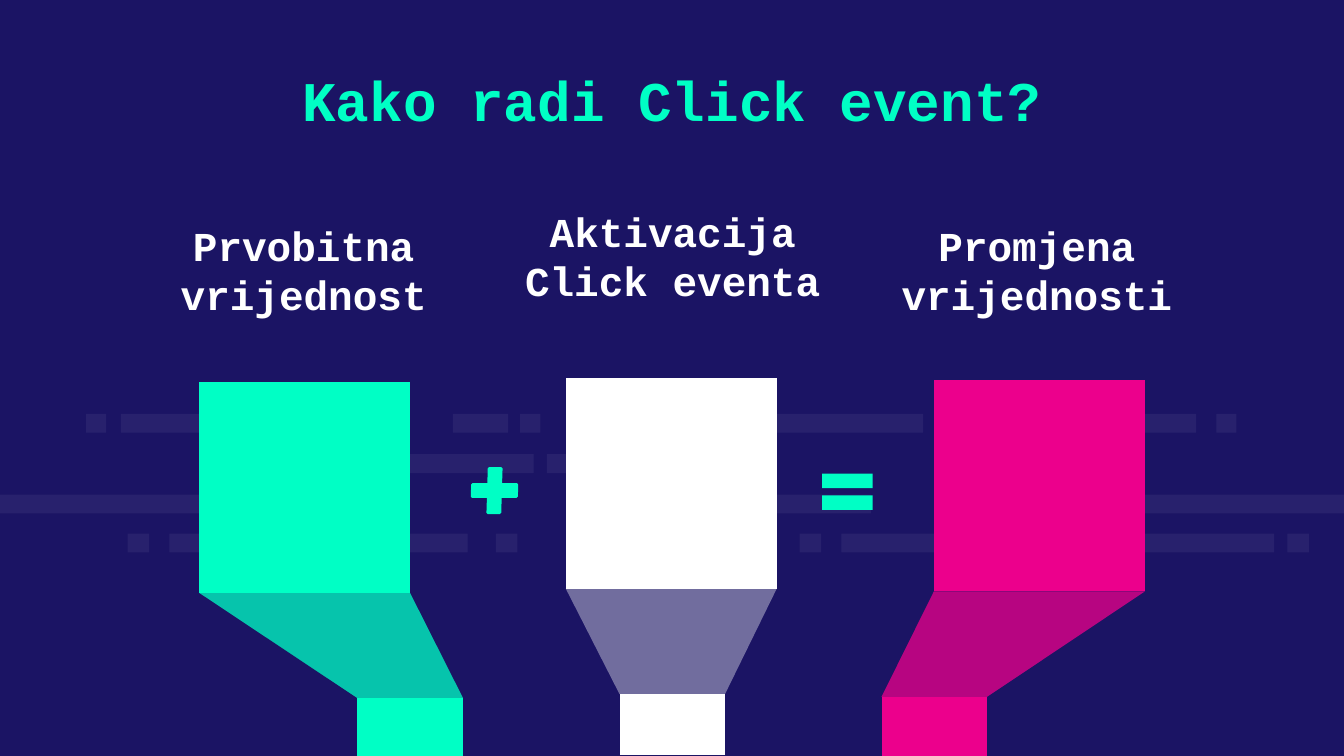
from dataclasses import dataclass

from lxml.etree import SubElement
from pptx import Presentation
from pptx.dml.color import RGBColor
from pptx.enum.shapes import MSO_SHAPE as Preset
from pptx.enum.text import MSO_ANCHOR as Anchor, MSO_AUTO_SIZE as AutoSize, PP_ALIGN as Align
from pptx.oxml.ns import qn
from pptx.util import Inches, Pt

Point = tuple[float, float]


@dataclass(frozen=True)
class Theme:
    navy: str = "1B1464"
    mint: str = "00FFC5"
    white: str = "FFFFFF"
    pink: str = "EC008C"
    font: str = "Courier New"
    title_size: int = 30
    label_size: int = 22


@dataclass(frozen=True)
class Label:
    text: str
    left: float
    top: float
    width: float


@dataclass(frozen=True)
class Funnel:
    left: float
    top: float
    stem_left: float
    color: str
    slope_layers: tuple[tuple[str, int], ...]


THEME = Theme()
SLIDE_WIDTH = 10
SLIDE_HEIGHT = SLIDE_WIDTH * 9 / 16
BAR_HEIGHT = 0.14
BOX_SIZE = 1.57
STEM_WIDTH = SLOPE_HEIGHT = BOX_SIZE / 2
STEM_HEIGHT = 0.45

# Row top -> (left, width) of each faint bar
BAR_ROWS = {
    3.08: [(0.64, 0.15), (0.9, 1.46), (3.37, 0.41), (3.87, 0.15),
           (5.61, 1.26), (7.64, 1.26), (9.05, 0.15)],
    3.38: [(2.99, 0.98), (4.07, 0.4)],
    3.68: [(0, 1.48), (5, 1.48), (8.52, 1.48)],
    3.97: [(0.95, 0.16), (1.26, 2.22), (3.69, 0.16), (5.95, 0.16),
           (6.26, 3.22), (9.58, 0.16)],
}
LABELS = [
    Label("Prvobitna vrijednost", 1.13, 1.9, 2.26),
    Label("Aktivacija Click eventa", 3.73, 1.8, 2.55),
    Label("Promjena vrijednosti", 6.56, 1.9, 2.31),
]
SHADE = (THEME.navy, 25)
FUNNELS = [
    Funnel(4.21, 2.81, 4.61, THEME.white, ((THEME.white, 38),)),
    Funnel(1.48, 2.84, 2.66, THEME.mint, ((THEME.mint, 100), SHADE)),
    Funnel(6.95, 2.83, 6.56, THEME.pink, ((THEME.pink, 100), SHADE)),
]


def paint(shape, color: str, opacity: int = 100) -> None:
    shape.shadow.inherit = False
    shape.line.fill.background()
    shape.fill.solid()
    shape.fill.fore_color.rgb = RGBColor.from_string(color)
    if opacity < 100:
        color_element = shape.element.spPr.find(qn("a:solidFill"))[0]
        SubElement(color_element, qn("a:alpha"), val=str(opacity * 1000))


def add_polygon(slide, points: list[Point], color: str, opacity: int = 100) -> None:
    corners = [(Inches(x), Inches(y)) for x, y in points]
    builder = slide.shapes.build_freeform(*corners[0])
    builder.add_line_segments(corners[1:], close=True)
    paint(builder.convert_to_shape(), color, opacity)


def add_rectangle(slide, left: float, top: float, width: float, height: float,
                  color: str, opacity: int = 100) -> None:
    right, bottom = left + width, top + height
    add_polygon(slide, [(left, top), (right, top), (right, bottom), (left, bottom)],
                color, opacity)


def add_funnel(slide, funnel: Funnel) -> None:
    slope_top = funnel.top + BOX_SIZE
    stem_top = slope_top + SLOPE_HEIGHT
    slope = [(funnel.stem_left, stem_top), (funnel.left, slope_top),
             (funnel.left + BOX_SIZE, slope_top), (funnel.stem_left + STEM_WIDTH, stem_top)]
    for color, opacity in funnel.slope_layers:
        add_polygon(slide, slope, color, opacity)
    add_rectangle(slide, funnel.stem_left, stem_top, STEM_WIDTH, STEM_HEIGHT, funnel.color)
    add_rectangle(slide, funnel.left, funnel.top, BOX_SIZE, BOX_SIZE, funnel.color)


def add_plus(slide, center: Point, size: float, thickness: float,
             bevel: float, lean: float) -> None:
    """Draw a bevelled, leaning plus sign by turning one arm through four quarters."""
    reach, half = size / 2, thickness / 2
    arm = [(-half, -half), (-half, bevel - reach), (bevel - half, -reach),
           (half - bevel, -reach), (half, bevel - reach)]
    points = []
    for _ in range(4):
        points += [(center[0] + x - lean * y, center[1] + y) for x, y in arm]
        arm = [(-y, x) for x, y in arm]
    add_polygon(slide, points, THEME.mint)


def write_text(shape, text: str, size: int, color: str, anchor, bottom_inset: float) -> None:
    frame = shape.text_frame
    frame_format = {
        "word_wrap": True, "auto_size": AutoSize.NONE, "vertical_anchor": anchor,
        "margin_left": Inches(0.1), "margin_right": Inches(0.1),
        "margin_top": Inches(0.1), "margin_bottom": Inches(bottom_inset),
    }
    for name, value in frame_format.items():
        setattr(frame, name, value)
    paragraph = frame.paragraphs[0]
    paragraph_format = {"alignment": Align.CENTER, "line_spacing": 1.0, "space_before": Pt(0)}
    for name, value in paragraph_format.items():
        setattr(paragraph, name, value)
    run = paragraph.add_run()
    run.text = text
    for name, value in {"name": THEME.font, "size": Pt(size), "bold": True}.items():
        setattr(run.font, name, value)
    run.font.color.rgb = RGBColor.from_string(color)


def add_title(slide, text: str) -> None:
    title = slide.shapes.title
    place = {"left": 1.4, "top": 0.37, "width": 7.2, "height": 0.73}
    for name, value in place.items():
        setattr(title, name, Inches(value))
    write_text(title, text, THEME.title_size, THEME.mint, Anchor.MIDDLE, 0.1)


def add_label(slide, label: Label) -> None:
    box = slide.shapes.add_textbox(Inches(label.left), Inches(label.top),
                                   Inches(label.width), Inches(0.47))
    write_text(box, label.text, THEME.label_size, THEME.white, Anchor.BOTTOM, 0)


def add_equals(slide) -> None:
    equals = slide.shapes.add_shape(Preset.MATH_EQUAL, Inches(6.05), Inches(3.43),
                                    Inches(0.51), Inches(0.46))
    equals.adjustments[0] = 0.235
    equals.adjustments[1] = 0.118
    paint(equals, THEME.mint)


def main() -> None:
    presentation = Presentation()
    presentation.slide_width = Inches(SLIDE_WIDTH)
    presentation.slide_height = Inches(SLIDE_HEIGHT)
    slide = presentation.slides.add_slide(presentation.slide_layouts[5])
    background = slide.background.fill
    background.solid()
    background.fore_color.rgb = RGBColor.from_string(THEME.navy)

    for top, bars in BAR_ROWS.items():
        for left, width in bars:
            add_rectangle(slide, left, top, width, BAR_HEIGHT, THEME.white, 6)
    add_title(slide, "Kako radi Click event?")
    for funnel in FUNNELS:
        add_funnel(slide, funnel)
    for label in LABELS:
        add_label(slide, label)
    add_plus(slide, center=(3.68, 3.65), size=0.35, thickness=0.11, bevel=0.01, lean=0.03)
    add_equals(slide)
    presentation.save("out.pptx")


if __name__ == "__main__":
    main()
